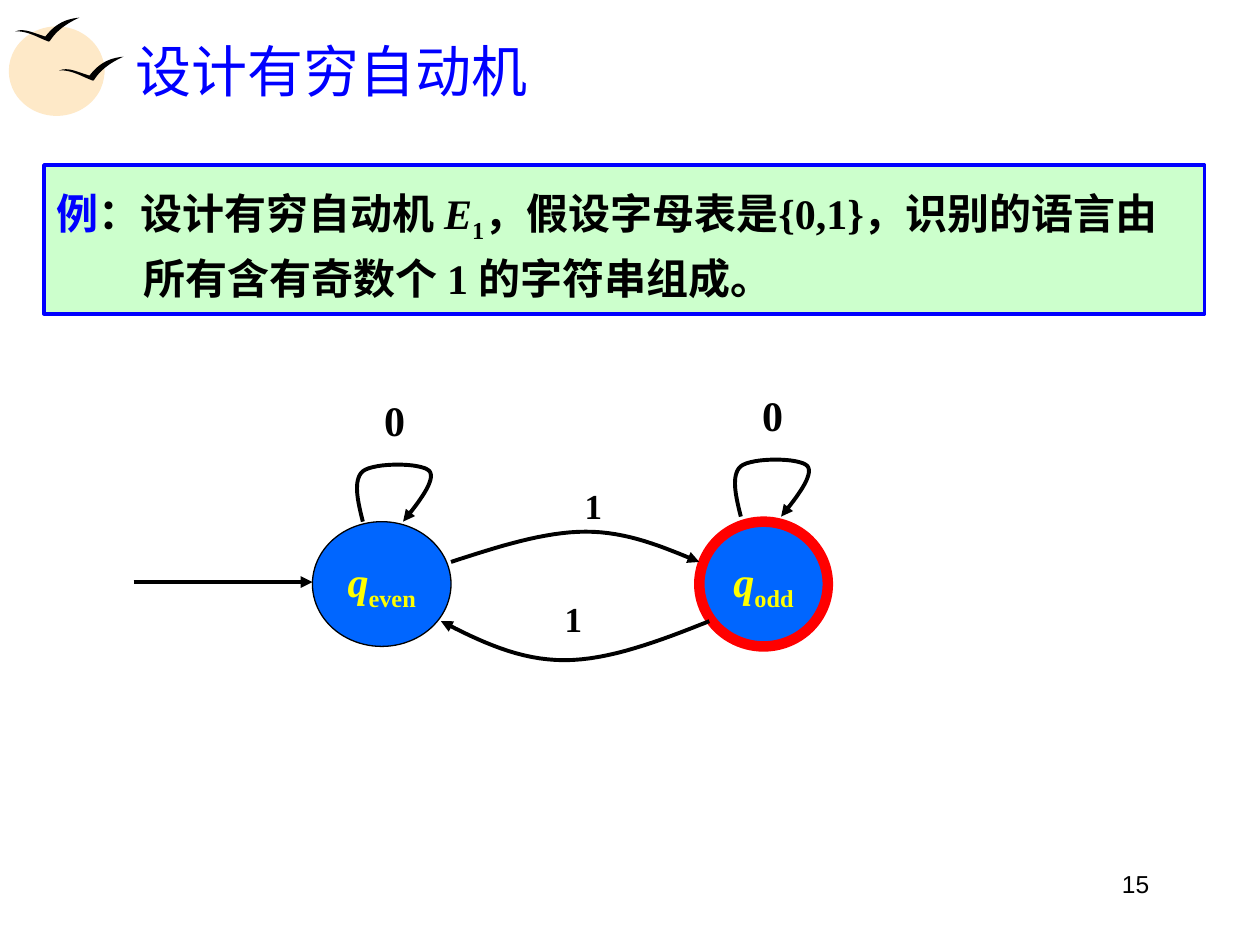
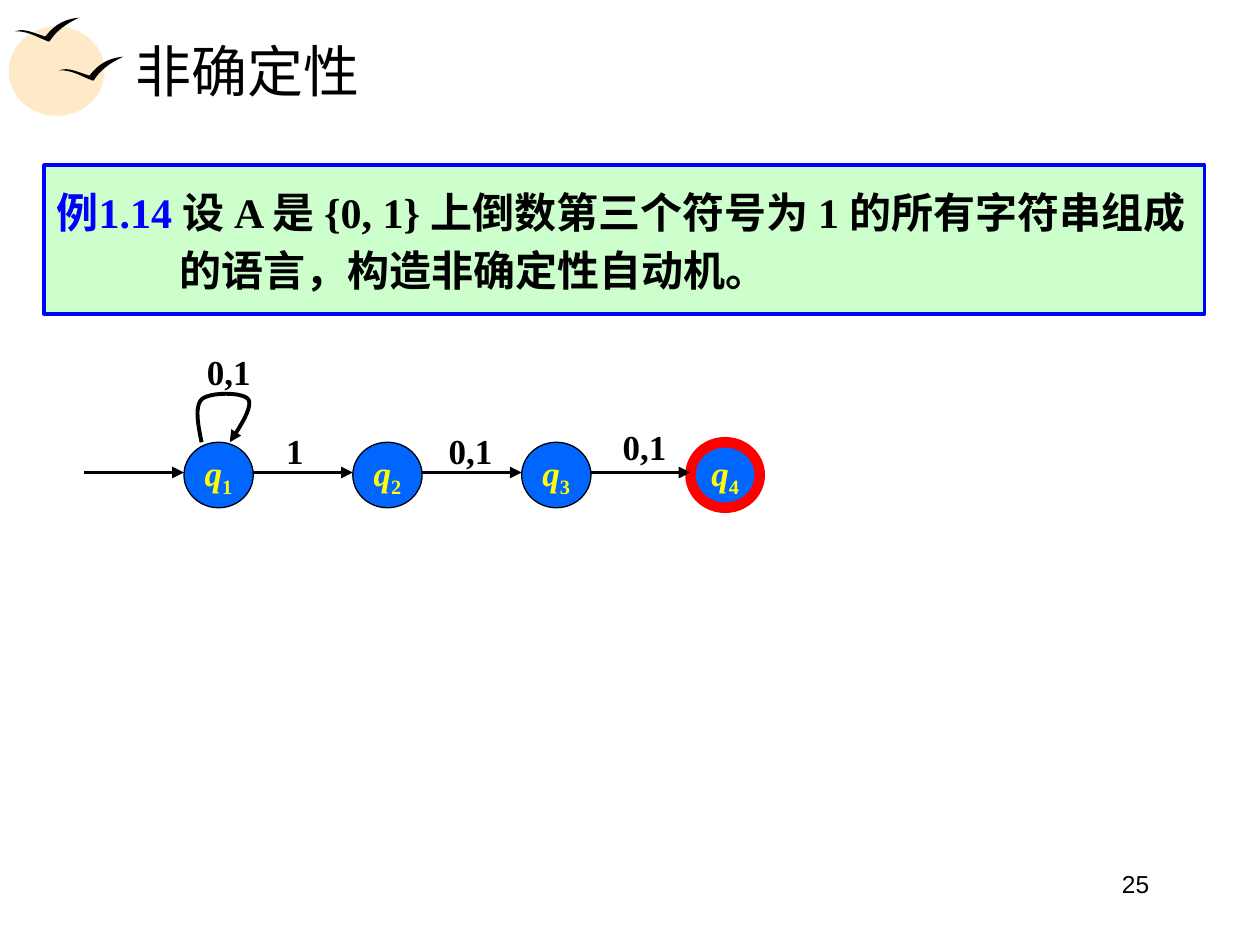
"""Build two automata slides: a deterministic and a nondeterministic example."""
from collections import namedtuple
from lxml import etree
from pptx import Presentation
from pptx.dml.color import RGBColor
from pptx.enum.shapes import MSO_CONNECTOR as LINE, MSO_SHAPE as SHAPE
from pptx.enum.text import MSO_ANCHOR as ANCHOR, PP_ALIGN as ALIGN
from pptx.oxml.ns import qn
from pptx.util import Pt

PX = 9144
Theme = namedtuple("Theme", "ink blue sun panel state accept label serif sans "
                   "title body small page thin rule ring")
T = Theme(*[RGBColor.from_string(c) for c in (
    "000000", "0000FF", "FEE9C8", "CCFFCC", "0066FF", "FF0000", "FFFF00")],
    "Times New Roman", "Arial", 32, 24, 20, 14, 0.75, 2.25, 6)


def write(tf, runs, size, align=ALIGN.LEFT, name=T.serif, bold=True):
    """Write (text, colour, style) runs; style i is italic, s is subscript."""
    p = tf.paragraphs[0]
    p.alignment = align
    for text, color, style in runs:
        r = p.add_run()
        r.text = text
        r.font.name, r.font.size, r.font.bold = name, Pt(size), bold
        r.font.italic = style == "i"
        r.font.color.rgb = color
        if style == "s":
            r.font._element.set("baseline", "-25000")
    return p


def curve(slide, points, close=False):
    """Draw a chain of cubic curves through every third point."""
    steps = 16
    path = []
    for k in range(0, len(points) - 1, 3):
        for n in range(1, steps + 1):
            t = n / steps
            weights = ((1 - t) ** 3, 3 * t * (1 - t) ** 2, 3 * t * t * (1 - t), t ** 3)
            path.append(tuple(round(PX * sum(w * q[axis] for w, q in zip(weights, points[k:k + 4])))
                              for axis in (0, 1)))
    x, y = points[0]
    fb = slide.shapes.build_freeform(round(x * PX), round(y * PX))
    fb.add_line_segments(path, close=close)
    return fb.convert_to_shape()


BIRD = [(0, 11), (7, 8), (14, 12), (24, 15), (31, 6), (39, 1), (51, 0),
        (42, 4), (33, 10), (28, 18), (28, 18), (27, 19), (27, 19),
        (20, 17), (10, 10), (0, 11)]
LOOP = [(0, 0), (-4, -16), (-8, -33), (0, -40), (9, -47), (47, -47), (53, -40),
        (58, -33), (45, -16), (32, 0)]

slides = [
    dict(
        page="15", title="设计有穷自动机", title_color=T.blue, hang=69,
        body=[("例", T.blue, ""), ("：设计有穷自动机 ", T.ink, ""), ("E", T.ink, "i"),
              ("1", T.ink, "s"),
              ("，假设字母表是{0,1}，识别的语言由所有含有奇数个 1 的字符串组成。", T.ink, "")],
        states=[("even", 248, 414, 110, 99, False), ("odd", 555, 414, 102, 99, True)],
        state_size=T.body,
        loops=[(288, 414, 1, 1), (588, 410, 1, 1)],
        arcs=[[(358, 446), (395, 434), (432, 422), (465, 422),
               (498, 422), (526, 434), (555, 446)],
              [(563, 493), (523, 509), (483, 524), (448, 524),
               (412, 524), (381, 509), (350, 493)]],
        arrows=[(106, 248, 462)],
        labels=[("1", 454, 380, 34, T.small), ("1", 438, 469, 34, T.small),
                ("0", 295, 308, 36, T.body), ("0", 595, 304, 36, T.body)]),
    dict(
        page="25", title="非确定性", title_color=T.ink, hang=98,
        body=[("例1.14 ", T.blue, ""),
              ("设 A 是 {0, 1} 上倒数第三个符号为 1 的所有字符串组成的语言，构造非确定性自动机。",
               T.ink, "")],
        states=[(str(i + 1), 146 + 134 * i, 351, 55, 52, i == 3) for i in range(4)],
        state_size=T.small,
        loops=[(160, 351, 0.7, 0.85)],
        arcs=[],
        arrows=[(67 + 134 * i, 146 + 134 * i, 375) for i in range(4)],
        labels=[("0,1", 154, 273, 55, T.small), ("1", 217, 336, 34, T.small),
                ("0,1", 346, 336, 55, T.small), ("0,1", 484, 333, 55, T.small)]),
]

prs = Presentation()
prs.slide_width, prs.slide_height = 1000 * PX, 750 * PX

for data in slides:
    slide = prs.slides.add_slide(prs.slide_layouts[6])
    shapes = slide.shapes

    for box in ((7, 21, 76, 71), (20, 28, 63, 55)):
        s = shapes.add_shape(SHAPE.OVAL, *[v * PX for v in box])
        s.shadow.inherit = False
        s.fill.solid()
        s.fill.fore_color.rgb = T.sun
        s.line.fill.background()
    for dx, dy in ((47, 45), (12, 14)):
        s = curve(slide, [(x + dx, y + dy) for x, y in BIRD], close=True)
        s.shadow.inherit = False
        s.fill.solid()
        s.fill.fore_color.rgb = T.ink
        s.line.fill.background()

    tf = shapes.add_textbox(689 * PX, 685 * PX, 233 * PX, 52 * PX).text_frame
    tf.word_wrap = True
    write(tf, [(data["page"], T.ink, "")], T.page, ALIGN.RIGHT, T.sans, False)

    tf = shapes.add_textbox(98 * PX, 21 * PX, 853 * PX, 69 * PX).text_frame
    tf.word_wrap = True
    tf.vertical_anchor = ANCHOR.MIDDLE
    write(tf, [(data["title"], data["title_color"], "")], T.title, bold=False)

    s = shapes.add_shape(SHAPE.RECTANGLE, 35 * PX, 131 * PX, 921 * PX, 118 * PX)
    s.shadow.inherit = False
    s.fill.solid()
    s.fill.fore_color.rgb = T.panel
    s.line.color.rgb = T.blue
    s.line.width = Pt(T.rule)
    tf = s.text_frame
    tf.word_wrap = True
    tf.vertical_anchor = ANCHOR.TOP
    tf.margin_top = 11 * PX
    p = write(tf, data["body"], T.body)
    p.line_spacing = 1.15
    pPr = p._p.get_or_add_pPr()
    pPr.set("marL", str(data["hang"] * PX))
    pPr.set("indent", str(-data["hang"] * PX))

    for name, x, y, w, h, accepting in data["states"]:
        s = shapes.add_shape(SHAPE.OVAL, x * PX, y * PX, w * PX, h * PX)
        s.shadow.inherit = False
        s.fill.solid()
        s.fill.fore_color.rgb = T.state
        s.line.color.rgb = T.accept if accepting else T.ink
        s.line.width = Pt(T.ring if accepting else T.thin)
        tf = s.text_frame
        tf.word_wrap = False
        tf.vertical_anchor = ANCHOR.MIDDLE
        write(tf, [("q", T.label, "i"), (name, T.label, "s")],
              data["state_size"], ALIGN.CENTER)

    loops = [[(x + sx * px, y + sy * py) for px, py in LOOP]
             for x, y, sx, sy in data["loops"]]
    transitions = [curve(slide, points) for points in loops + data["arcs"]]
    for s in transitions:
        s.fill.background()
    for x1, x2, y in data["arrows"]:
        transitions.append(shapes.add_connector(
            LINE.STRAIGHT, x1 * PX, y * PX, x2 * PX, y * PX))
    for s in transitions:
        s.line.color.rgb = T.ink
        s.line.width = Pt(T.rule)
        etree.SubElement(s.line._get_or_add_ln(), qn("a:tailEnd"), type="triangle")
        etree.SubElement(s._element.spPr, qn("a:effectLst"))

    for text, x, y, w, size in data["labels"]:
        h = 50 if size == T.body else 44
        tf = shapes.add_textbox(x * PX, y * PX, w * PX, h * PX).text_frame
        tf.word_wrap = False
        write(tf, [(text, T.ink, "")], size, ALIGN.CENTER)

prs.save("out.pptx")
